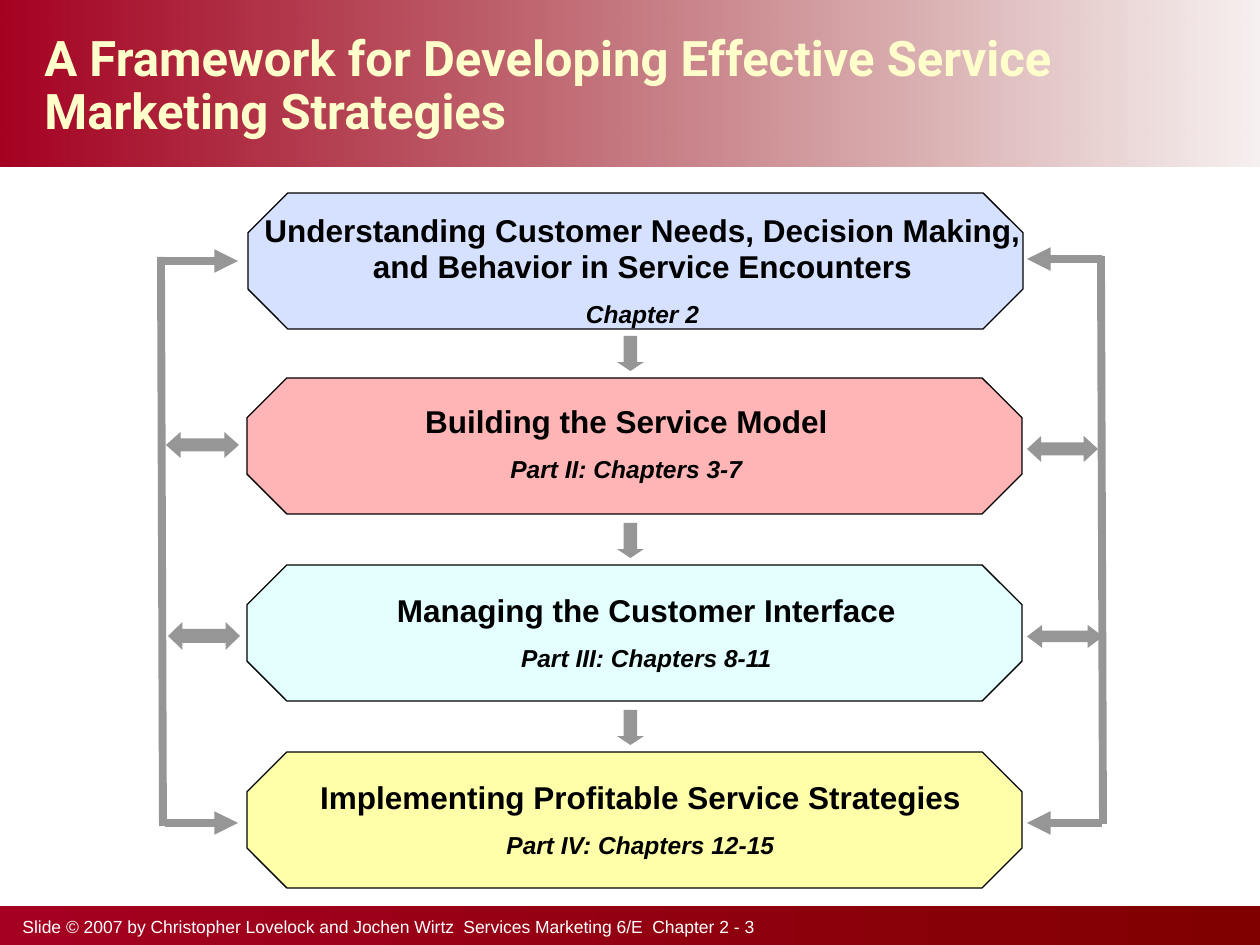
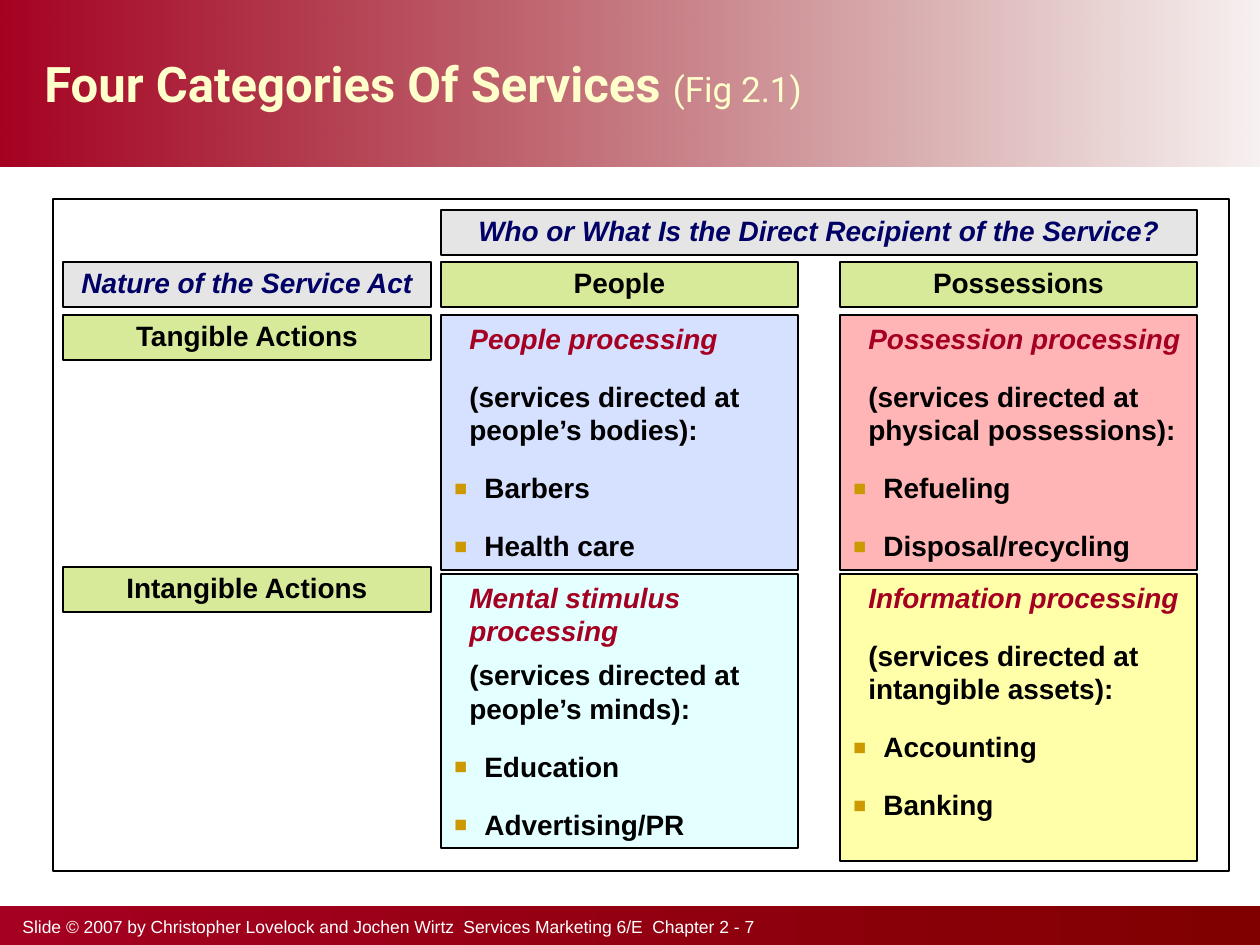
from dataclasses import dataclass
from typing import NamedTuple

from lxml import etree
from pptx import Presentation
from pptx.dml.color import RGBColor
from pptx.enum.shapes import MSO_CONNECTOR, MSO_SHAPE
from pptx.enum.text import MSO_ANCHOR, PP_ALIGN
from pptx.oxml.ns import qn
from pptx.util import Emu, Pt

RECT, OCTAGON = MSO_SHAPE.RECTANGLE, MSO_SHAPE.OCTAGON
DOWN, BOTH = MSO_SHAPE.DOWN_ARROW, MSO_SHAPE.LEFT_RIGHT_ARROW
STRAIGHT = MSO_CONNECTOR.STRAIGHT
LEFT, CENTER = PP_ALIGN.LEFT, PP_ALIGN.CENTER
TOP, MIDDLE = MSO_ANCHOR.TOP, MSO_ANCHOR.MIDDLE

SCALE = 914400 / 126
WIDE, HIGH = 1260, 945


class Tint(NamedTuple):
    rgb: str
    alpha: int = 100


@dataclass(frozen=True)
class Theme:
    maroon: str = "800000"
    red: str = "A50021"
    cream: str = "FFFFCC"
    white: str = "FFFFFF"
    black: str = "000000"
    navy: str = "000066"
    gray: str = "969696"
    gold: str = "CC9900"
    blue: Tint = Tint("3366FF", 20)
    pink: Tint = Tint("FF0000", 29)
    aqua: Tint = Tint("CCFFFF", 53)
    yellow: Tint = Tint("FFFF99", 84)
    green: Tint = Tint("99CC00", 40)
    silver: Tint = Tint("C0C0C0", 40)
    head_font: str = "Roboto"
    body_font: str = "Arial"
    title: int = 28
    figure: int = 20
    stage: int = 18
    grid: int = 16
    note: int = 14
    foot: int = 10
    edge: float = 0.75
    rail: float = 4.5


T = Theme()


class Box(NamedTuple):
    x: int
    y: int
    w: int
    h: int


class Run(NamedTuple):
    text: str
    size: int
    color: str = T.black
    bold: bool = True
    italic: bool = False
    font: str = T.body_font


@dataclass(frozen=True)
class Para:
    runs: tuple[Run, ...]
    align: PP_ALIGN = LEFT
    line: float = 1.0
    before: float = 0
    after: float = 0
    margin: int = 0
    bullet: bool = False
    tabs: tuple[tuple[int, str], ...] = ()


class Stage(NamedTuple):
    shape: Box
    label: Box
    tint: Tint
    name: str
    pages: str


class Cell(NamedTuple):
    box: Box
    tint: Tint
    name: str
    gap: int
    scope: str
    cases: tuple[str, str]


class Head(NamedTuple):
    box: Box
    text: str
    axis: bool = False


class Rail(NamedTuple):
    x1: int
    y1: int
    x2: int
    y2: int
    arrow: bool = True


STAGES = (
    Stage(Box(248, 193, 775, 136), Box(241, 208, 803, 128), T.blue,
          "Understanding Customer Needs, Decision Making, "
          "and Behavior in Service Encounters", "Chapter 2"),
    Stage(Box(247, 378, 775, 136), Box(348, 399, 557, 92), T.pink,
          "Building the Service Model", "Part II: Chapters 3-7"),
    Stage(Box(247, 565, 775, 136), Box(368, 588, 557, 92), T.aqua,
          "Managing the Customer Interface", "Part III: Chapters 8-11"),
    Stage(Box(247, 752, 775, 136), Box(296, 775, 689, 92), T.yellow,
          "Implementing Profitable Service Strategies", "Part IV: Chapters 12-15"),
)
STEP = 187
LINKS = (Box(1027, 436, 71, 26), Box(1027, 625, 76, 23),
         Box(168, 622, 72, 28), Box(166, 432, 73, 26))
RAILS = (
    Rail(165, 261, 238, 261), Rail(165, 823, 238, 823),
    Rail(1102, 823, 1027, 823), Rail(1102, 259, 1027, 259),
    Rail(161, 257, 163, 826, False), Rail(1101, 256, 1103, 824, False),
)

SIDE, PEOPLE, THINGS = 63, 441, 840
SIDE_W, COL_W, HEAD_H = 368, 357, 45
HEADS = (
    Head(Box(PEOPLE, 210, THINGS + COL_W - PEOPLE, HEAD_H),
         "Who or What Is the Direct Recipient of the Service?", True),
    Head(Box(SIDE, 262, SIDE_W, HEAD_H), "Nature of the Service Act", True),
    Head(Box(PEOPLE, 262, COL_W, HEAD_H), "People"),
    Head(Box(THINGS, 262, COL_W, HEAD_H), "Possessions"),
    Head(Box(SIDE, 315, SIDE_W, HEAD_H), "Tangible Actions"),
    Head(Box(SIDE, 567, SIDE_W, HEAD_H), "Intangible Actions"),
)
CELLS = (
    Cell(Box(PEOPLE, 315, COL_W, 255), T.blue, "People processing", 14,
         "(services directed at people’s bodies):", ("Barbers", "Health care")),
    Cell(Box(THINGS, 315, COL_W, 255), T.pink, "Possession processing", 14,
         "(services directed at physical possessions):",
         ("Refueling", "Disposal/recycling")),
    Cell(Box(PEOPLE, 574, COL_W, 274), T.aqua, "Mental stimulus processing", 6,
         "(services directed at people’s minds):", ("Education", "Advertising/PR")),
    Cell(Box(THINGS, 574, COL_W, 287), T.yellow, "Information processing", 14,
         "(services directed at intangible assets):", ("Accounting", "Banking")),
)


def px(n: float) -> Emu:
    return Emu(round(n * SCALE))


def rgb(code: str) -> RGBColor:
    return RGBColor.from_string(code)


def fade(shape, alpha: int) -> None:
    """Set the opacity of the first colour in the shape's fill."""
    color = next(shape._element.spPr.iter(qn("a:srgbClr")))
    etree.SubElement(color, qn("a:alpha"), val=str(alpha * 1000))


def mark(props) -> None:
    """Give a paragraph a square gold bullet."""
    tone = etree.SubElement(props, qn("a:buClr"))
    etree.SubElement(tone, qn("a:srgbClr"), val=T.gold)
    etree.SubElement(props, qn("a:buSzPct"), val="150000")
    etree.SubElement(props, qn("a:buFont"), typeface=T.body_font)
    etree.SubElement(props, qn("a:buChar"), char="▪")


def write(shape, paras: list[Para], anchor: MSO_ANCHOR = TOP) -> None:
    frame = shape.text_frame
    frame.word_wrap = True
    frame.vertical_anchor = anchor
    for i, para in enumerate(paras):
        p = frame.add_paragraph() if i else frame.paragraphs[0]
        props = p._p.get_or_add_pPr()
        props.set("marL", str(px(para.margin)))
        props.set("indent", str(px(-para.margin if para.bullet else 0)))
        if para.bullet:
            mark(props)
        if para.tabs:
            stops = etree.SubElement(props, qn("a:tabLst"))
            for pos, kind in para.tabs:
                etree.SubElement(stops, qn("a:tab"), pos=str(px(pos)), algn=kind)
        p.alignment = para.align
        p.line_spacing = para.line
        p.space_before, p.space_after = Pt(para.before), Pt(para.after)
        for run in para.runs:
            r = p.add_run()
            r.text = run.text
            r.font.name, r.font.size = run.font, Pt(run.size)
            r.font.bold, r.font.italic = run.bold, run.italic
            r.font.color.rgb = rgb(run.color)


def draw(slide, kind: MSO_SHAPE, box: Box, tint: Tint, edge: bool = True):
    shape = slide.shapes.add_shape(kind, *map(px, box))
    shape.shadow.inherit = False
    shape.fill.solid()
    shape.fill.fore_color.rgb = rgb(tint.rgb)
    if tint.alpha < 100:
        fade(shape, tint.alpha)
    if edge:
        shape.line.color.rgb = rgb(T.black)
        shape.line.width = Pt(T.edge)
    else:
        shape.line.fill.background()
    return shape


def label(slide, box: Box, paras: list[Para], anchor: MSO_ANCHOR = TOP) -> None:
    write(slide.shapes.add_textbox(*map(px, box)), paras, anchor)


def band(slide, box: Box, alpha: int) -> None:
    shape = draw(slide, RECT, box, Tint(T.red), False)
    shape.fill.gradient()
    shape.fill.gradient_angle = 180
    for stop, code in zip(shape.fill.gradient_stops, (T.maroon, T.red)):
        stop.color.rgb = rgb(code)
    if alpha < 100:
        fade(shape, alpha)


def start(deck, title: str, page: int, figure: str = ""):
    """Add a slide with its bands, title and footer."""
    slide = deck.slides.add_slide(deck.slide_layouts[6])
    band(slide, Box(0, 0, WIDE, 167), 6)
    band(slide, Box(0, 906, WIDE, 39), 100)
    foot = ("Slide © 2007 by Christopher Lovelock and Jochen Wirtz"
            f"\tServices Marketing 6/E\tChapter 2 - {page}")
    label(slide, Box(10, 910, 1229, 34),
          [Para((Run(foot, T.foot, T.white, False),),
                tabs=((754, "ctr"), (1197, "r")))])
    runs = [Run(title, T.title, T.cream, font=T.head_font)]
    if figure:
        runs.append(Run(figure, T.figure, T.cream, False, font=T.head_font))
    label(slide, Box(32, 4, 1040, 166), [Para(tuple(runs), line=0.9)], MIDDLE)
    return slide


def link(slide, rail: Rail) -> None:
    line = slide.shapes.add_connector(
        STRAIGHT, px(rail.x1), px(rail.y1), px(rail.x2), px(rail.y2))
    line.line.color.rgb = rgb(T.gray)
    line.line.width = Pt(T.rail)
    if rail.arrow:
        etree.SubElement(line.line._get_or_add_ln(), qn("a:tailEnd"), type="triangle")
    etree.SubElement(line._element.spPr, qn("a:effectLst"))


def arrow(slide, kind: MSO_SHAPE, box: Box) -> None:
    shape = draw(slide, kind, box, Tint(T.gray), False)
    short, long = sorted((box.w, box.h))
    shape.adjustments[0] = 0.5
    shape.adjustments[1] = 0.33 if kind == DOWN else 0.2 * long / short


def framework(deck) -> None:
    slide = start(deck, "A Framework for Developing Effective "
                        "Service Marketing Strategies", 3)
    for stage in STAGES:
        draw(slide, OCTAGON, stage.shape, stage.tint).adjustments[0] = 0.293
        label(slide, stage.label, [
            Para((Run(stage.name, T.stage),), CENTER, 0.95),
            Para((Run(stage.pages, T.note, italic=True),), CENTER, 0.95, 8.8)])
    for i in range(len(STAGES) - 1):
        arrow(slide, DOWN, Box(617, 336 + i * STEP, 27, 35))
    for box in LINKS:
        arrow(slide, BOTH, box)
    for rail in RAILS:
        link(slide, rail)


def matrix(deck) -> None:
    slide = start(deck, "Four Categories Of Services ", 7, "(Fig 2.1)")
    draw(slide, RECT, Box(53, 199, 1176, 672), Tint(T.white))
    for cell in CELLS:
        name = Run(cell.name, T.grid, T.red, italic=True)
        paras = [Para((name,), after=cell.gap, margin=16),
                 Para((Run(cell.scope, T.grid),), after=14, margin=16)]
        paras += [Para((Run(case, T.grid),), after=14, margin=31, bullet=True)
                  for case in cell.cases]
        write(draw(slide, RECT, cell.box, cell.tint), paras)
    for head in HEADS:
        shape = draw(slide, RECT, head.box, T.silver if head.axis else T.green)
        run = Run(head.text, T.grid, T.navy if head.axis else T.black,
                  italic=head.axis)
        write(shape, [Para((run,), CENTER, 0.95)])


def main() -> None:
    deck = Presentation()
    deck.slide_width, deck.slide_height = px(WIDE), px(HIGH)
    framework(deck)
    matrix(deck)
    deck.save("out.pptx")


if __name__ == "__main__":
    main()
